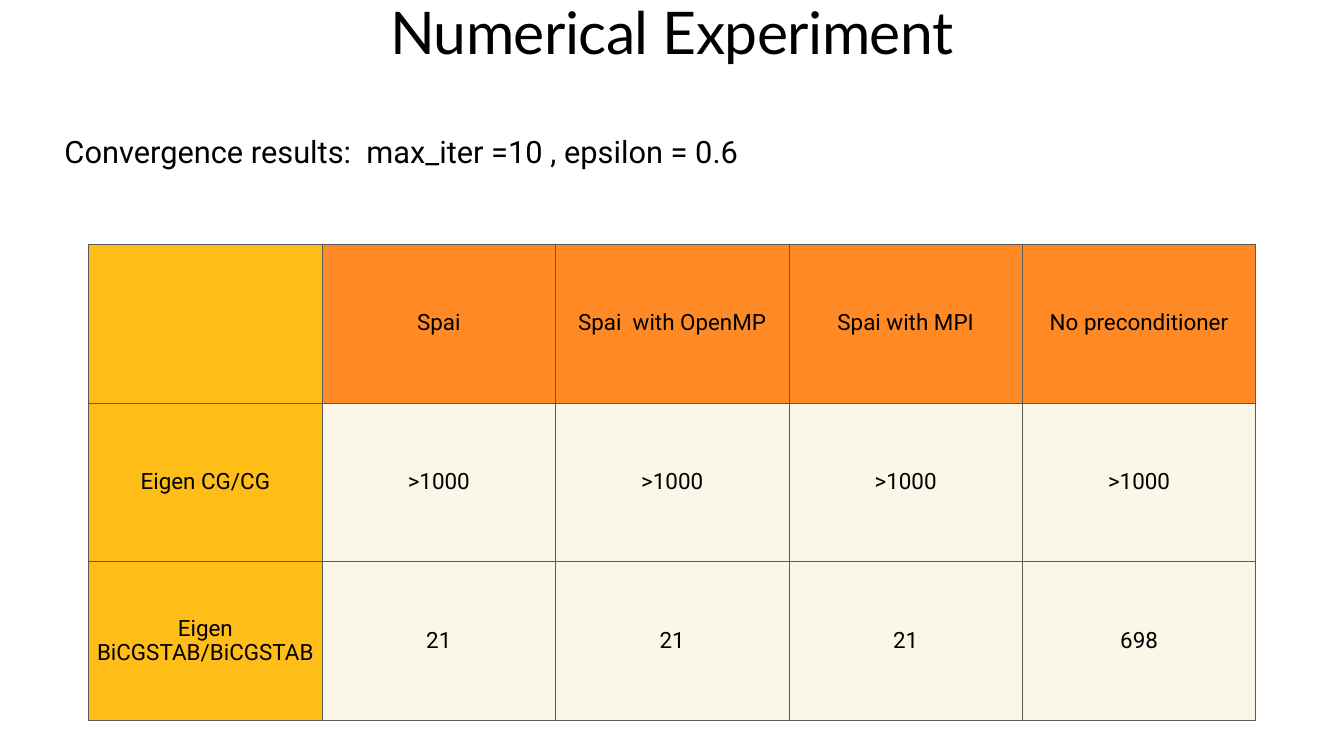
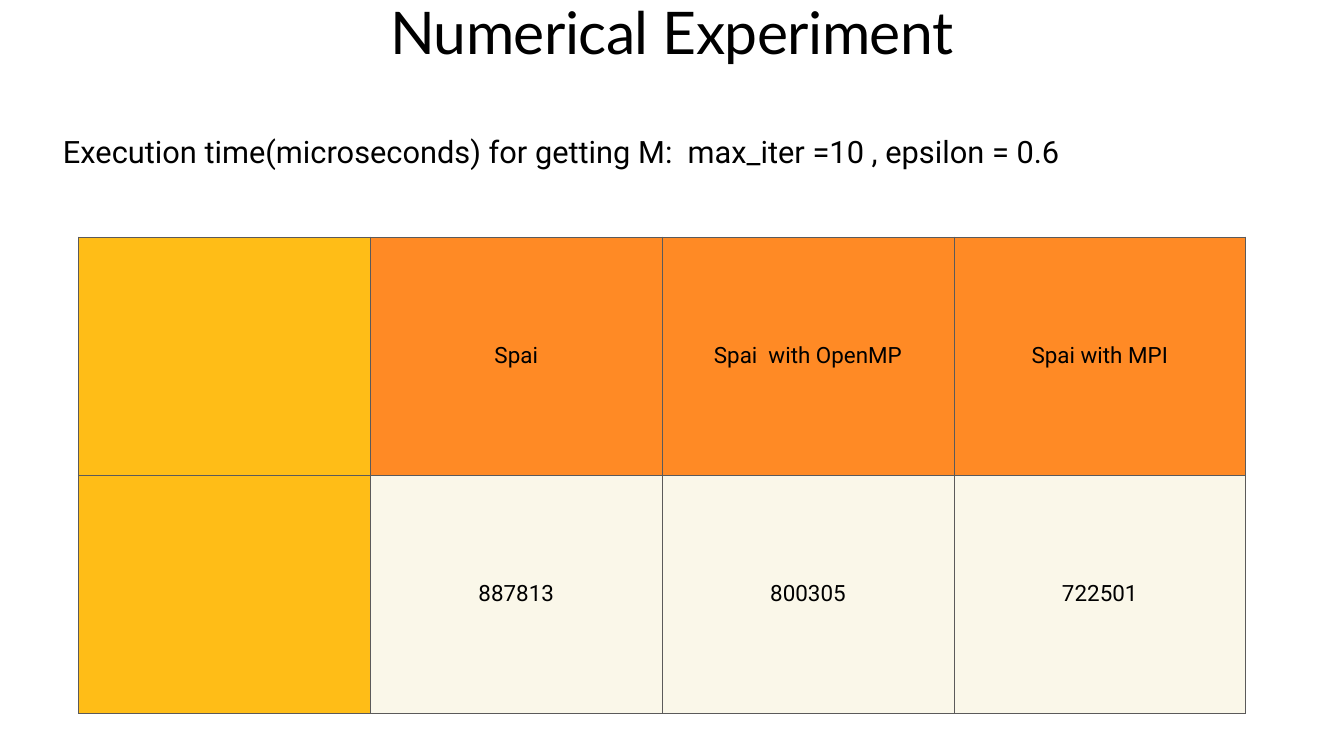
from dataclasses import dataclass

from lxml.etree import SubElement as Sub
from pptx import Presentation
from pptx.dml.color import RGBColor as Rgb
from pptx.enum.text import MSO_ANCHOR as Anchor, MSO_AUTO_SIZE as Fit, PP_ALIGN as Align
from pptx.oxml.ns import qn
from pptx.util import Inches, Pt


@dataclass(frozen=True)
class Theme:
    ink: str = "000000"
    rule: str = "5B5A5A"
    top: str = "FF8A25"
    side: str = "FFBD17"
    body: str = "FAF7E9"
    head_font: str = "Lato"
    text_font: str = "Roboto"
    head_size: int = 84
    note_size: int = 44
    cell_size: int = 32
    inset: float = 0.06


THEME = Theme()
TABLE_SIZE = 23.16, 9.46
INSETS = {f"margin_{side}": Inches(THEME.inset) for side in ("left", "top", "right", "bottom")}
HEAD = {"alignment": Align.CENTER, "line_spacing": 0.8, "space_before": Pt(0)}
NOTE = {"alignment": Align.LEFT, "line_spacing": 0.9, "space_before": Pt(24)}
CELL = NOTE | {"alignment": Align.CENTER}


def set_all(item, values):
    for name, value in values.items():
        setattr(item, name, value)


def write(frame, text, form, font, size):
    """Fill a text frame with one styled paragraph and return its run."""
    para = frame.paragraphs[0]
    set_all(para, form)
    run = para.add_run()
    run.text = text
    set_all(run.font, {"name": font, "size": Pt(size)})
    run.font.color.rgb = Rgb.from_string(THEME.ink)
    return run


def place(shape, left, top, width, height):
    box = {"left": left, "top": top, "width": width, "height": height}
    set_all(shape, {name: Inches(value) for name, value in box.items()})


def add_title(slide, text):
    title = slide.shapes.title
    place(title, 1.33, 0.13, 24, 1.89)
    frame = title.text_frame
    set_all(frame, INSETS | {"vertical_anchor": Anchor.TOP, "auto_size": Fit.NONE})
    run = write(frame, text, HEAD, THEME.head_font, THEME.head_size)
    run.font._element.set("spc", "-80")


def add_note(slide, text, left):
    box = slide.shapes.add_textbox(*map(Inches, (left, 2.54, 25.21, 1.02)))
    frame = box.text_frame
    set_all(frame, INSETS | {"word_wrap": True, "vertical_anchor": Anchor.MIDDLE,
                             "auto_size": Fit.SHAPE_TO_FIT_TEXT})
    write(frame, text, NOTE, THEME.text_font, THEME.note_size)


def add_edges(cell):
    props = cell._tc.get_or_add_tcPr()
    for side in "LRTB":
        line = Sub(props, qn(f"a:ln{side}"), w=str(Pt(1)))
        fill = Sub(line, qn("a:solidFill"))
        Sub(fill, qn("a:srgbClr"), val=THEME.rule)


def add_grid(slide, data, left, top):
    """Draw equal cells: a yellow first column, an orange header, pale values."""
    width, height = TABLE_SIZE
    rows, cols = len(data), len(data[0])
    table = slide.shapes.add_table(rows, cols, *map(Inches, (left, top, width, height))).table
    set_all(table, {"first_row": False, "horz_banding": False})
    for col in table.columns:
        col.width = Inches(width / cols)
    for row in table.rows:
        row.height = Inches(height / rows)
    for r, line in enumerate(data):
        for c, text in enumerate(line):
            cell = table.cell(r, c)
            set_all(cell, INSETS | {"vertical_anchor": Anchor.MIDDLE})
            add_edges(cell)
            tint = THEME.side if c == 0 else THEME.top if r == 0 else THEME.body
            cell.fill.solid()
            cell.fill.fore_color.rgb = Rgb.from_string(tint)
            if text:
                write(cell.text_frame, text, CELL, THEME.text_font, THEME.cell_size)


def add_page(deck, note, note_left, data, left, top):
    slide = deck.slides.add_slide(deck.slide_layouts.get_by_name("Title Only"))
    add_title(slide, "Numerical Experiment")
    add_grid(slide, data, left, top)
    add_note(slide, note, note_left)


def main():
    deck = Presentation()
    set_all(deck, {"slide_width": Inches(26.67), "slide_height": Inches(15)})
    kinds = ["Spai", "Spai  with OpenMP", "Spai with MPI"]
    setup = "max_iter =10 , epsilon = 0.6"

    # Convergence
    steps = [
        ["", *kinds, "No preconditioner"],
        ["Eigen CG/CG"] + [">1000"] * 4,
        ["Eigen BiCGSTAB/BiCGSTAB", "21", "21", "21", "698"],
    ]
    add_page(deck, f"Convergence results:  {setup}", 1.22, steps, 1.76, 4.84)

    # Execution time
    times = [["", *kinds], ["", "887813", "800305", "722501"]]
    add_page(deck, f"Execution time(microseconds) for getting M:  {setup}", 1.19, times, 1.56, 4.7)

    deck.save("out.pptx")


if __name__ == "__main__":
    main()
